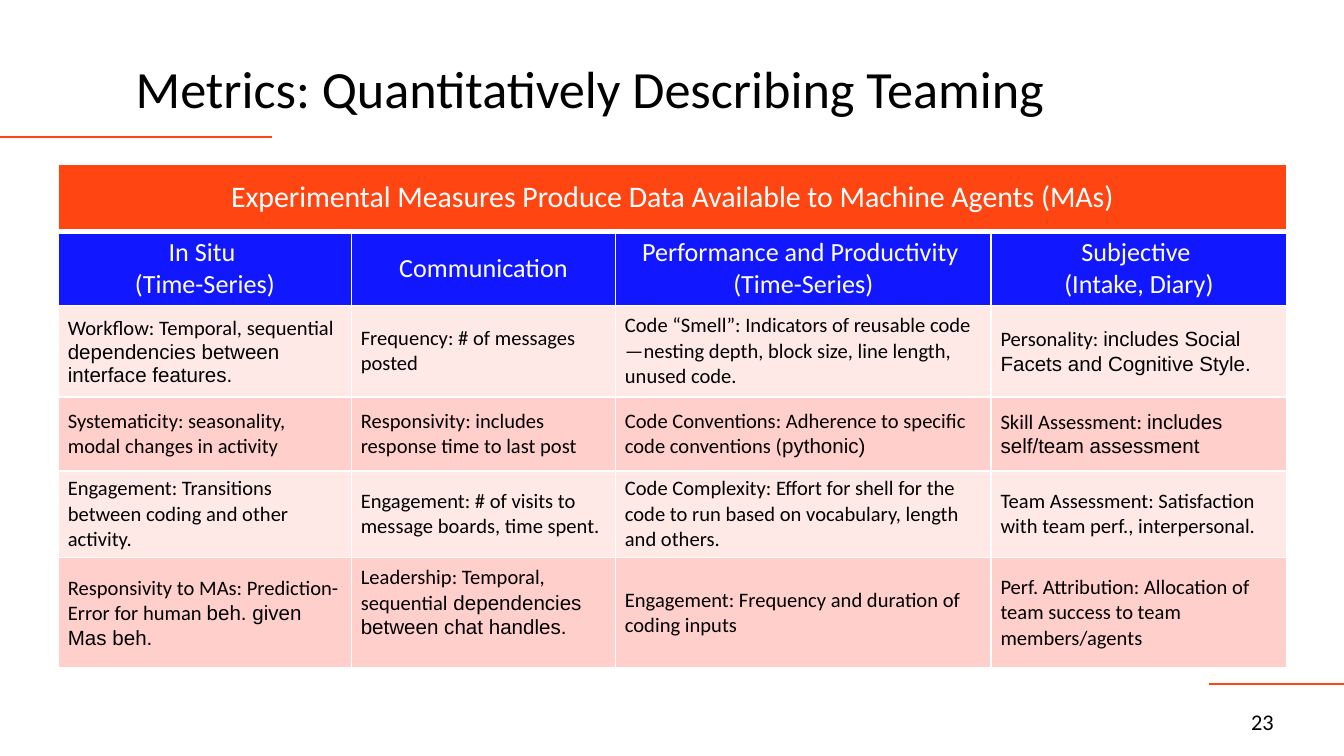
"""Build the slide on metrics that describe teaming quantitatively."""
from lxml.etree import SubElement
from pptx import Presentation
from pptx.dml.color import RGBColor
from pptx.enum.shapes import MSO_CONNECTOR
from pptx.enum.text import MSO_ANCHOR, MSO_AUTO_SIZE, PP_ALIGN
from pptx.oxml.ns import qn
from pptx.util import Pt

PX = 4572
COLORS = {
    "ink": "000000", "white": "FFFFFF", "orange": "FF4612", "rule": "FF461B",
    "blue": "1118FF", "light": "FFE9E7", "dark": "FFCFCC",
}
TITLE = "Metrics: Quantitatively Describing Teaming"
BANNER = "Experimental Measures Produce Data Available to Machine Agents (MAs)"
HEADINGS = [
    "In Situ \n(Time-Series)", "Communication",
    "Performance and Productivity \n(Time-Series)", "Subjective \n(Intake, Diary)",
]
MEASURES = [
    ["Workflow: Temporal, sequential |dependencies between interface features.",
     "Frequency: # of messages posted",
     "Code “Smell”: Indicators of reusable code—nesting depth, block size, line length, unused code.",
     "Personality: |includes Social Facets and Cognitive Style."],
    ["Systematicity: seasonality, modal changes in activity",
     "Responsivity: includes response time to last post",
     "Code Conventions: Adherence to specific code conventions (|pythonic)",
     "Skill Assessment: |includes self/team assessment"],
    ["Engagement: Transitions between coding and other activity.",
     "Engagement: # of visits to message boards, time spent.",
     "Code Complexity: Effort for shell for the code to run based on vocabulary, length and others.",
     "Team Assessment: Satisfaction with team perf., interpersonal."],
    ["Responsivity to MAs: Prediction-Error for human |beh. given Mas beh.",
     "Leadership: Temporal, sequential| dependencies between chat handles.",
     "Engagement: Frequency and duration of coding inputs",
     "Perf. Attribution: Allocation of team success to team members/agents"],
]
ROWS = [[BANNER, "", "", ""], HEADINGS] + MEASURES
COLUMN_WIDTHS = [436, 393, 559, 440]
ROW_HEIGHTS = [100, 110, 136, 110, 110, 164]
ROW_STYLES = [("orange", 16, "white"), ("blue", 14, "white")]
ROW_STYLES += [("light", 11, "ink"), ("dark", 11, "ink")] * 2


def write(frame, text, size, color, align):
    """Fill a frame: newlines part paragraphs, a bar starts the Arial span."""
    for index, line in enumerate(text.split("\n")):
        para = frame.add_paragraph() if index else frame.paragraphs[0]
        para.alignment = align
        for part, font_name in zip(line.split("|"), ("Calibri", "Arial")):
            span = para.add_run()
            span.text = part
            for name, value in {"name": font_name, "size": Pt(size), "bold": False}.items():
                setattr(span.font, name, value)
            span.font.color.rgb = RGBColor.from_string(COLORS[color])


def add_border(cell, side, width):
    """Draw one white border of a cell."""
    line = SubElement(cell._tc.get_or_add_tcPr(), qn(f"a:ln{side}"), w=str(Pt(width)))
    fill = SubElement(line, qn("a:solidFill"))
    SubElement(fill, qn("a:srgbClr"), val=COLORS["white"])


deck = Presentation()
deck.slide_width, deck.slide_height = 2000 * PX, 1125 * PX
page = deck.slides.add_slide(deck.slide_layouts[5])

for left, right, top, color in [(0, 405, 204, "rule"), (1799, 2000, 1018, "orange")]:
    rule = page.shapes.add_connector(
        MSO_CONNECTOR.STRAIGHT, left * PX, top * PX, right * PX, top * PX)
    rule.line.color.rgb = RGBColor.from_string(COLORS[color])
    rule.line.width = Pt(1)
    SubElement(rule._element.spPr, qn("a:effectLst"))

table_frame = page.shapes.add_table(
    len(ROWS), len(COLUMN_WIDTHS), 87 * PX, 244 * PX,
    sum(COLUMN_WIDTHS) * PX, sum(ROW_HEIGHTS) * PX)
table = table_frame.table
for column, width in zip(table.columns, COLUMN_WIDTHS):
    column.width = width * PX
for row, height in zip(table.rows, ROW_HEIGHTS):
    row.height = height * PX
table.cell(0, 0).merge(table.cell(0, 3))

cell_format = {
    "margin_left": 14 * PX, "margin_right": 14 * PX, "margin_top": 8 * PX,
    "margin_bottom": 8 * PX, "vertical_anchor": MSO_ANCHOR.MIDDLE,
}
for row_index, (texts, style) in enumerate(zip(ROWS, ROW_STYLES)):
    fill_color, size, text_color = style
    align = PP_ALIGN.CENTER if row_index < 2 else PP_ALIGN.LEFT
    for column_index, text in enumerate(texts):
        cell = table.cell(row_index, column_index)
        for name, value in cell_format.items():
            setattr(cell, name, value)
        for side in "LRTB":
            under_banner = (row_index, side) in [(0, "B"), (1, "T")]
            add_border(cell, side, 3 if under_banner else 1)
        cell.fill.solid()
        cell.fill.fore_color.rgb = RGBColor.from_string(COLORS[fill_color])
        if text:
            write(cell.text_frame, text, size, text_color, align)
table.cell(5, 1).margin_bottom = 40 * PX

title = page.shapes.title
number = page.shapes.add_textbox(1842 * PX, 1044 * PX, 102 * PX, 60 * PX)
title_place = {"left": 202, "top": 57, "width": 1592, "height": 146}
for name, value in title_place.items():
    setattr(title, name, value * PX)

frame_formats = [
    (title, {"margin_left": 0, "vertical_anchor": MSO_ANCHOR.MIDDLE}),
    (number, {"margin_left": 20 * PX, "margin_bottom": 0, "vertical_anchor": MSO_ANCHOR.TOP}),
]
for box, frame_format in frame_formats:
    shared = {"word_wrap": True, "auto_size": MSO_AUTO_SIZE.NONE,
              "margin_right": 20 * PX, "margin_top": 10 * PX, "margin_bottom": 10 * PX}
    for name, value in (shared | frame_format).items():
        setattr(box.text_frame, name, value)
write(title.text_frame, TITLE, 28, "ink", PP_ALIGN.LEFT)
title.text_frame.paragraphs[0].line_spacing = Pt(34)
write(number.text_frame, "23", 12, "ink", PP_ALIGN.LEFT)

deck.save("out.pptx")
